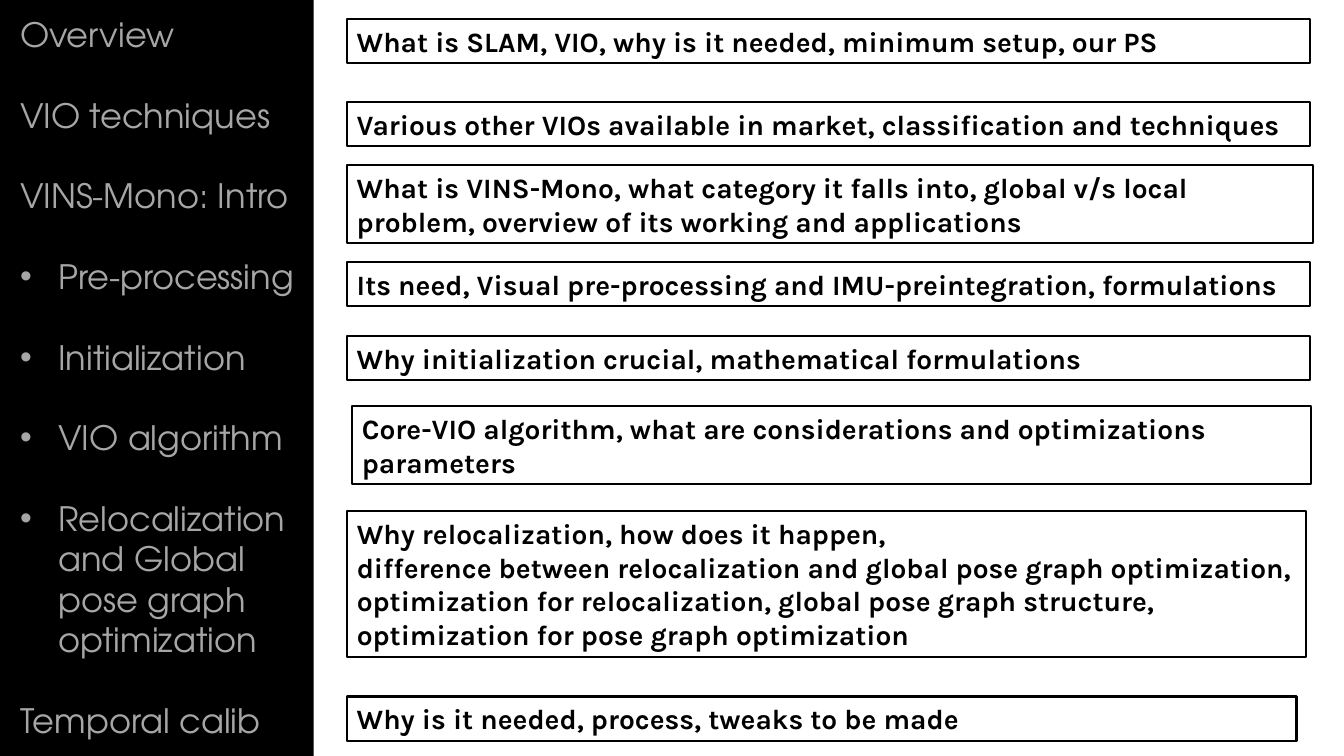
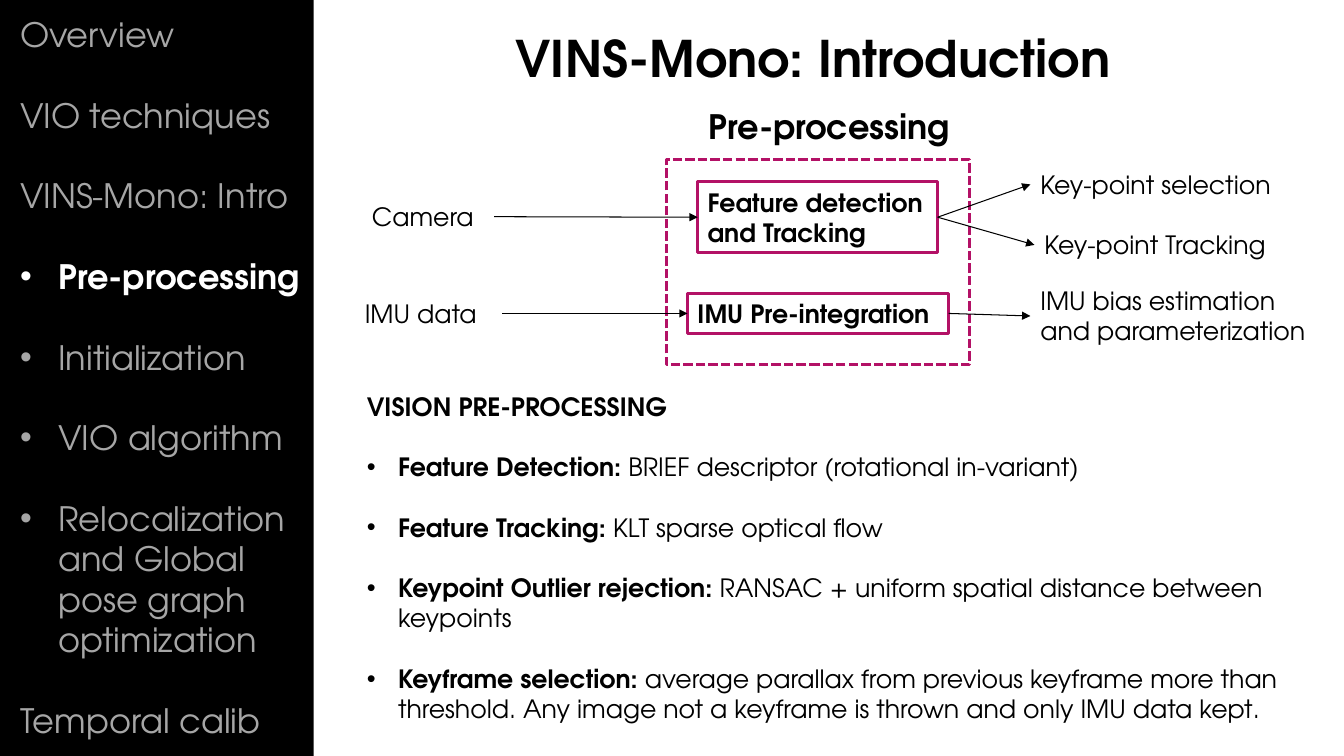
from dataclasses import dataclass

from lxml.etree import SubElement
from pptx import Presentation
from pptx.dml.color import RGBColor
from pptx.enum.dml import MSO_LINE
from pptx.enum.shapes import MSO_CONNECTOR, MSO_SHAPE
from pptx.enum.text import MSO_ANCHOR as Anchor, PP_ALIGN as Align
from pptx.oxml.ns import qn
from pptx.util import Inches, Pt

BLACK, WHITE, GREY, MAGENTA = "000000", "FFFFFF", "A6A6A6", "B31166"
SANS, NOTE_FONT = "TeX Gyre Adventor", "Karla"
TOP, LEFT, BOTTOM, RIGHT = range(4)

TOPICS = [
    ("Overview", False),
    ("VIO techniques", False),
    ("VINS-Mono: Intro", False),
    ("Pre-processing", True),
    ("Initialization", True),
    ("VIO algorithm", True),
    ("Relocalization and Global pose graph optimization", True),
    ("Temporal calib", False),
]

SUMMARIES = [
    (3.23, 2.53, 93.44, 1, ["What is SLAM, VIO, why is it needed, minimum setup, our PS"]),
    (3.23, 13.47, 93.44, 1, ["Various other VIOs available in market, classification and techniques"]),
    (3.23, 21.87, 93.74, 2, ["What is VINS-Mono, what category it falls into, global v/s local "
                             "problem, overview of its working and applications"]),
    (3.23, 34.67, 93.44, 1, ["Its need, Visual pre-processing and IMU-preintegration, formulations"]),
    (3.23, 44.4, 93.44, 1, ["Why initialization crucial, mathematical formulations"]),
    (3.72, 53.73, 93.05, 2, ["Core-VIO algorithm, what are considerations and optimizations parameters"]),
    (3.23, 67.6, 93.05, 4, ["Why relocalization, how does it happen,",
                            "difference between relocalization and global pose graph optimization, "
                            "optimization for relocalization, global pose graph structure, "
                            "optimization for pose graph optimization"]),
    (3.23, 92.13, 92.17, 1, ["Why is it needed, process, tweaks to be made"]),
]

VISION_STEPS = [
    ("Feature Detection: ", "BRIEF descriptor (rotational in-variant)"),
    ("Feature Tracking: ", "KLT sparse optical flow"),
    ("Keypoint Outlier rejection: ", "RANSAC + uniform spatial distance between keypoints"),
    ("Keyframe selection: ", "average parallax from previous keyframe more than threshold. "
                             "Any image not a keyframe is thrown and only IMU data kept."),
]


@dataclass
class Box:
    left: float
    top: float
    width: float
    height: float

    def share(self, left, top, width, height):
        return Box(self.left + self.width * left / 100, self.top + self.height * top / 100,
                   self.width * width / 100, self.height * height / 100)

    def lengths(self):
        return [Inches(value) for value in (self.left, self.top, self.width, self.height)]


PAGE = Box(0, 0, 13.33, 7.5)
SIDEBAR = PAGE.share(0.75, 1.2, 22.58, 98.27)
CONTENT = PAGE.share(23.33, 0, 76.67, 100)


def color(hex_string):
    return RGBColor.from_string(hex_string)


def paint(target, hex_string):
    target.solid()
    target.fore_color.rgb = color(hex_string)


def add_span(para, text, size, font=SANS, ink=BLACK, bold=False):
    span = para.add_run()
    span.text = text
    span.font.size, span.font.name, span.font.bold = Pt(size), font, bold
    span.font.color.rgb = color(ink)


def add_bullet(para, indent):
    properties = para._p.get_or_add_pPr()
    properties.set("marL", str(Inches(indent)))
    properties.set("indent", str(-Inches(indent)))
    SubElement(properties, qn("a:buFont")).set("typeface", "Arial")
    SubElement(properties, qn("a:buChar")).set("char", "•")


def next_para(frame, number, gap=0):
    if number == 0:
        return frame.paragraphs[0]
    para = frame.add_paragraph()
    para.space_before = Pt(gap)
    return para


def write_lines(frame, lines, size, align=Align.LEFT, **style):
    frame.word_wrap = True
    for number, text in enumerate(lines):
        para = next_para(frame, number)
        para.alignment = align
        add_span(para, text, size, **style)


def add_label(slide, box, lines, size=18, **style):
    label = slide.shapes.add_textbox(*box.lengths())
    write_lines(label.text_frame, lines, size, **style)
    return label


def add_frame(slide, box, line, weight):
    frame = slide.shapes.add_shape(MSO_SHAPE.RECTANGLE, *box.lengths())
    frame.shadow.inherit = False
    frame.fill.background()
    frame.line.color.rgb = color(line)
    frame.line.width = Pt(weight)
    frame.text_frame.vertical_anchor = Anchor.MIDDLE
    return frame


def add_arrow(slide, source, target):
    arrow = slide.shapes.add_connector(MSO_CONNECTOR.STRAIGHT, 0, 0, 0, 0)
    arrow.begin_connect(source, RIGHT)
    arrow.end_connect(target, LEFT)
    arrow.line.color.rgb = color(BLACK)
    arrow.line.width = Pt(0.75)
    SubElement(arrow.line._get_or_add_ln(), qn("a:tailEnd")).set("type", "triangle")
    SubElement(arrow._element.spPr, qn("a:effectLst"))


def add_panel(slide, box):
    panel = slide.shapes.add_shape(MSO_SHAPE.RECTANGLE, *box.lengths())
    panel.shadow.inherit = False
    paint(panel.fill, WHITE)
    panel.line.fill.background()
    tree = slide.shapes._spTree
    tree.remove(panel._element)
    tree.insert(2, panel._element)


def add_sidebar(slide, box, active):
    frame = slide.shapes.add_textbox(*box.lengths()).text_frame
    frame.word_wrap = True
    for number, (topic, nested) in enumerate(TOPICS):
        para = next_para(frame, number, 28.8)
        if nested:
            add_bullet(para, 0.38)
        chosen = topic == active
        add_span(para, topic, 24, ink=WHITE if chosen else GREY, bold=chosen)


def add_page(deck, layout, active=None):
    slide = deck.slides.add_slide(deck.slide_layouts[layout])
    add_panel(slide, CONTENT)
    add_sidebar(slide, SIDEBAR, active)
    return slide


def place_title(slide, box, text):
    title = slide.shapes.title
    title.left, title.top, title.width, title.height = box.lengths()
    title.text_frame.vertical_anchor = Anchor.MIDDLE
    write_lines(title.text_frame, [text], 36, Align.CENTER, bold=True)


def add_summaries(slide, box):
    for left, top, width, rows, lines in SUMMARIES:
        height = 1.4 + 4.47 * rows
        frame = add_frame(slide, box.share(left, top, width, height), BLACK, 1.5)
        write_lines(frame.text_frame, lines, 20, font=NOTE_FONT, bold=True)


def add_pipeline(slide, box):
    def label(left, top, width, height, *lines):
        return add_label(slide, box.share(left, top, width, height), lines)

    def step(left, top, width, height, text):
        frame = add_frame(slide, box.share(left, top, width, height), MAGENTA, 2.25)
        write_lines(frame.text_frame, [text], 18, bold=True)
        return frame

    add_label(slide, box.share(3.72, 0, 92.66, 18.52), ["Pre-processing"], 24,
              align=Align.CENTER, bold=True)
    border = add_frame(slide, box.share(34.25, 21.48, 29.45, 75.56), MAGENTA, 2.25)
    border.line.dash_style = MSO_LINE.SQUARE_DOT

    camera = label(4.7, 35.19, 12.82, 14.81, "Camera")
    imu = label(4.01, 70.74, 14.29, 14.81, "IMU data")
    features = step(37.28, 29.63, 23.29, 26.3, "Feature detection and Tracking")
    integration = step(36.3, 70.74, 25.34, 14.81, "IMU Pre-integration")
    selection = label(69.57, 23.33, 25.05, 14.81, "Key-point selection")
    tracking = label(69.96, 45.56, 25.05, 14.81, "Key-point Tracking")
    bias = label(69.57, 65.93, 28.57, 26.3, "IMU bias estimation", "and parameterization")

    for source, target in [(camera, features), (imu, integration), (features, selection),
                           (features, tracking), (integration, bias)]:
        add_arrow(slide, source, target)


def add_vision_notes(slide, box):
    frame = add_label(slide, box, ["VISION PRE-PROCESSING"], bold=True).text_frame
    for number, (term, detail) in enumerate(VISION_STEPS, 1):
        para = next_para(frame, number, 21.6)
        add_bullet(para, 0.31)
        add_span(para, term, 18, bold=True)
        add_span(para, detail, 18)


def build_outline(deck):
    slide = add_page(deck, 6)
    add_summaries(slide, CONTENT)


def build_preprocessing(deck):
    slide = add_page(deck, 5, "Pre-processing")
    place_title(slide, CONTENT.share(6.16, 2.8, 84.64, 9.47), "VINS-Mono: Introduction")
    add_pipeline(slide, CONTENT.share(0, 13.33, 100, 36))
    add_vision_notes(slide, CONTENT.share(4.21, 51.07, 91.59, 45.73))


def main():
    deck = Presentation()
    deck.slide_width, deck.slide_height = Inches(PAGE.width), Inches(PAGE.height)
    paint(deck.slide_master.background.fill, BLACK)
    build_outline(deck)
    build_preprocessing(deck)
    deck.save("out.pptx")


if __name__ == "__main__":
    main()
